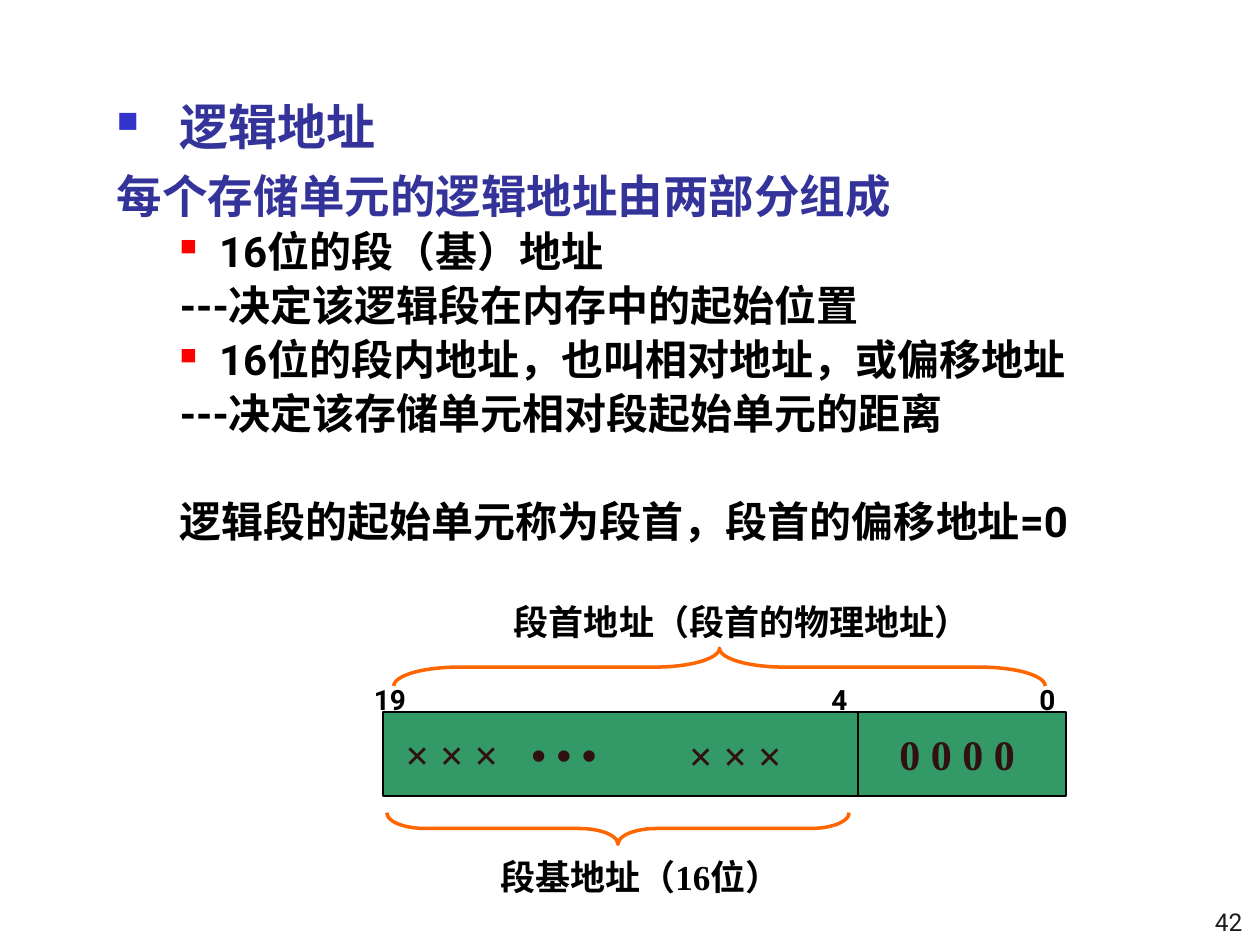
from lxml import etree
from pptx import Presentation
from pptx.dml.color import RGBColor
from pptx.enum.shapes import MSO_SHAPE
from pptx.enum.text import MSO_ANCHOR, PP_ALIGN
from pptx.oxml.ns import qn
from pptx.util import Inches, Pt

RECTANGLE = MSO_SHAPE.RECTANGLE
LEFT_BRACE = MSO_SHAPE.LEFT_BRACE
TOP, BOTTOM = MSO_ANCHOR.TOP, MSO_ANCHOR.BOTTOM
LEFT, RIGHT = PP_ALIGN.LEFT, PP_ALIGN.RIGHT

BLACK = RGBColor(0x00, 0x00, 0x00)
NAVY = RGBColor(0x33, 0x33, 0x99)
BLUE = RGBColor(0x33, 0x33, 0xCC)
RED = RGBColor(0xFF, 0x00, 0x00)
GREEN = RGBColor(0x33, 0x99, 0x66)
ORANGE = RGBColor(0xFF, 0x66, 0x00)
BROWN = RGBColor(0x30, 0x10, 0x10)
CHARCOAL = RGBColor(0x1C, 0x1C, 0x1C)

SANS, SERIF, CHINESE = "Roboto", "Times New Roman", "Noto Sans CJK SC"


def add_element(parent, tag, **attributes):
    child = etree.SubElement(parent, qn(tag))
    for name, value in attributes.items():
        child.set(name, str(value))
    return child


def add_bullet(para, color, percent):
    properties = para._p.get_or_add_pPr()
    add_element(add_element(properties, "a:buClr"), "a:srgbClr", val=color)
    add_element(properties, "a:buSzPct", val=percent * 1000)
    add_element(properties, "a:buChar", char="■")


def add_tab(para, position):
    tabs = add_element(para._p.get_or_add_pPr(), "a:tabLst")
    add_element(tabs, "a:tab", pos=Inches(position), algn="l")


def write(para, text, size=24, font=SANS, color=BLACK, bold=True, align=LEFT,
          line=None, before=0, after=0, level=0, margin=0, indent=0,
          bullet=None, tab=None):
    """Fill a paragraph; bullet is (color, percent), line and gaps are points."""
    properties = para._p.get_or_add_pPr()
    properties.set("marL", str(Inches(margin)))
    properties.set("indent", str(Inches(indent)))
    if bullet:
        add_bullet(para, *bullet)
    if tab:
        add_tab(para, tab)
    para.level = level
    para.alignment = align
    para.space_before, para.space_after = Pt(before), Pt(after)
    if line:
        para.line_spacing = Pt(line)
    span = para.add_run()
    span.text = text
    span.font.size = Pt(size)
    span.font.name = font
    span.font.bold = bold
    span.font.color.rgb = color
    add_element(span._r.get_or_add_rPr(), "a:ea", typeface=CHINESE)


class SlideBuilder:
    def __init__(self, page):
        self.page = page

    def text_box(self, left, top, width, height, anchor=TOP):
        box = self.page.shapes.add_textbox(
            Inches(left), Inches(top), Inches(width), Inches(height))
        box.text_frame.word_wrap = True
        box.text_frame.vertical_anchor = anchor
        return box.text_frame

    def label(self, text, left, top, width, height, anchor=TOP, **style):
        frame = self.text_box(left, top, width, height, anchor)
        write(frame.paragraphs[0], text, **style)

    def paragraphs(self, items, *place):
        frame = self.text_box(*place)
        for number, (text, style) in enumerate(items):
            para = frame.add_paragraph() if number else frame.paragraphs[0]
            write(para, text, **style)

    def shape(self, kind, left, top, width, height, line, weight):
        shape = self.page.shapes.add_shape(
            kind, Inches(left), Inches(top), Inches(width), Inches(height))
        shape.shadow.inherit = False
        shape.line.color.rgb = line
        shape.line.width = Pt(weight)
        return shape

    def field(self, left, width):
        field = self.shape(RECTANGLE, left, 5.65, width, 0.67, BLACK, 1)
        field.fill.solid()
        field.fill.fore_color.rgb = GREEN

    def brace(self, left, top, width, height, rotation, curl):
        brace = self.shape(LEFT_BRACE, left, top, width, height, ORANGE, 2)
        brace.fill.background()
        brace.rotation = rotation
        brace.adjustments[0] = curl
        brace.adjustments[1] = 0.5


def main():
    deck = Presentation()
    deck.slide_width, deck.slide_height = Inches(10), Inches(7.5)
    slide = SlideBuilder(deck.slides.add_slide(deck.slide_layouts[6]))

    slide.label("42", 7.88, 6.98, 2.08, 0.5, anchor=BOTTOM, size=14,
                color=CHARCOAL, bold=False, align=RIGHT)

    plain = dict(level=1, margin=0.5, line=28.9, after=2)
    item = dict(plain, margin=0.81, indent=-0.31, bullet=(RED, 55))
    slide.paragraphs([
        ("逻辑地址", dict(size=28, font=CHINESE, color=NAVY, line=36, after=1.5,
                      margin=0.5, indent=-0.5, bullet=(BLUE, 60))),
        ("每个存储单元的逻辑地址由两部分组成",
         dict(size=26, color=NAVY, line=31, before=6, after=1.5)),
        ("16位的段（基）地址", item),
        ("---决定该逻辑段在内存中的起始位置", plain),
        ("16位的段内地址，也叫相对地址，或偏移地址", item),
        ("---决定该存储单元相对段起始单元的距离", plain),
        ("逻辑段的起始单元称为段首，段首的偏移地址=0", dict(plain, before=30.9)),
    ], 0.83, 0.68, 8.19, 5.12)

    slide.field(6.81, 1.65)
    slide.field(3.04, 3.77)
    digits = dict(font=SERIF, color=BROWN)
    slide.label("0 0 0 0", 7.04, 5.73, 1.25, 0.5, **digits)
    slide.label("× × ×\t• • •", 3.12, 5.73, 2.33, 0.5, tab=1.06, **digits)
    slide.label("× × ×", 5.37, 5.74, 1.5, 0.5, **digits)

    caption = dict(size=20, font=SERIF, line=26)
    slide.label("段基地址（16位）", 3.87, 6.71, 2.58, 0.43, **caption)
    slide.label("段首地址（段首的物理地址）", 3.98, 4.69, 4.02, 0.43, **caption)
    slide.brace(4.78, 4.74, 0.25, 3.67, 270, 1.22)
    slide.brace(5.56, 2.71, 0.3, 5.17, 90, 1.72)

    for bit, left, width in (("19", 2.87, 0.63), ("0", 8.15, 0.39),
                             ("4", 6.5, 0.39)):
        slide.label(bit, left, 5.37, width, 0.37, size=16)

    deck.save("out.pptx")


if __name__ == "__main__":
    main()
